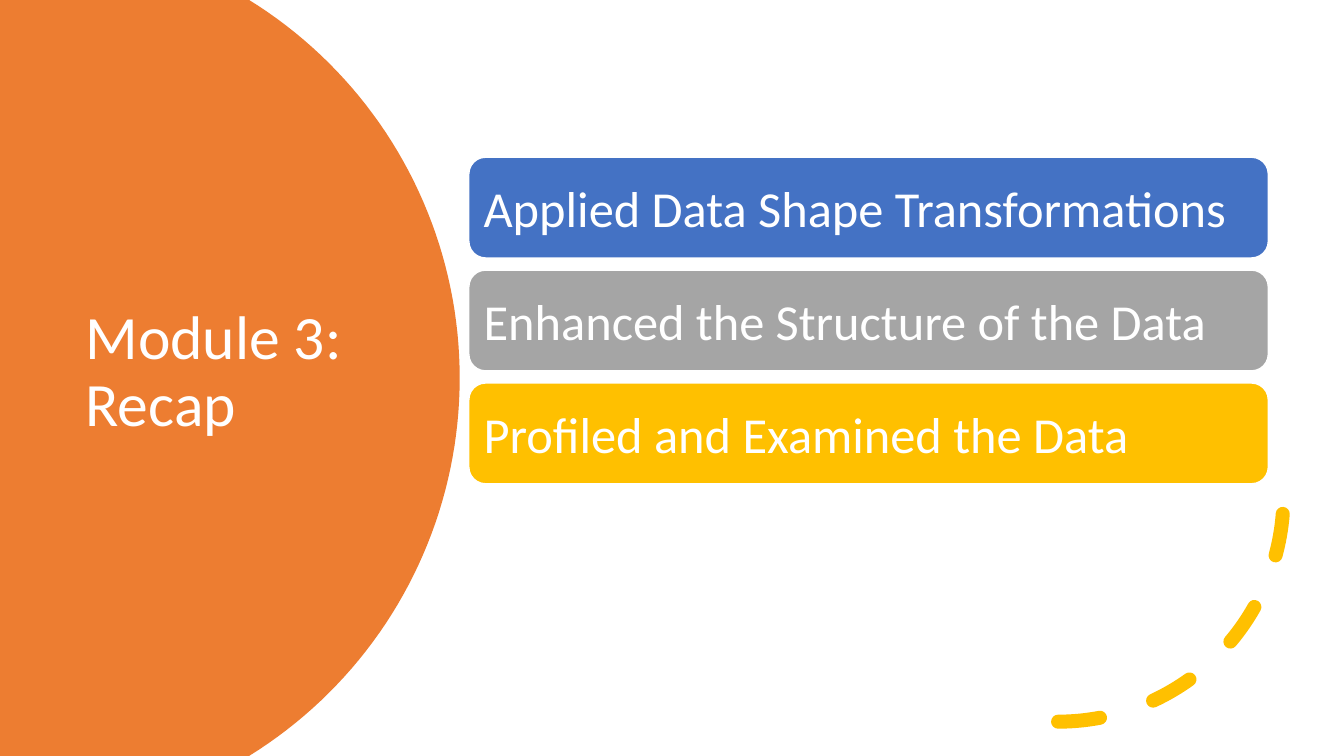
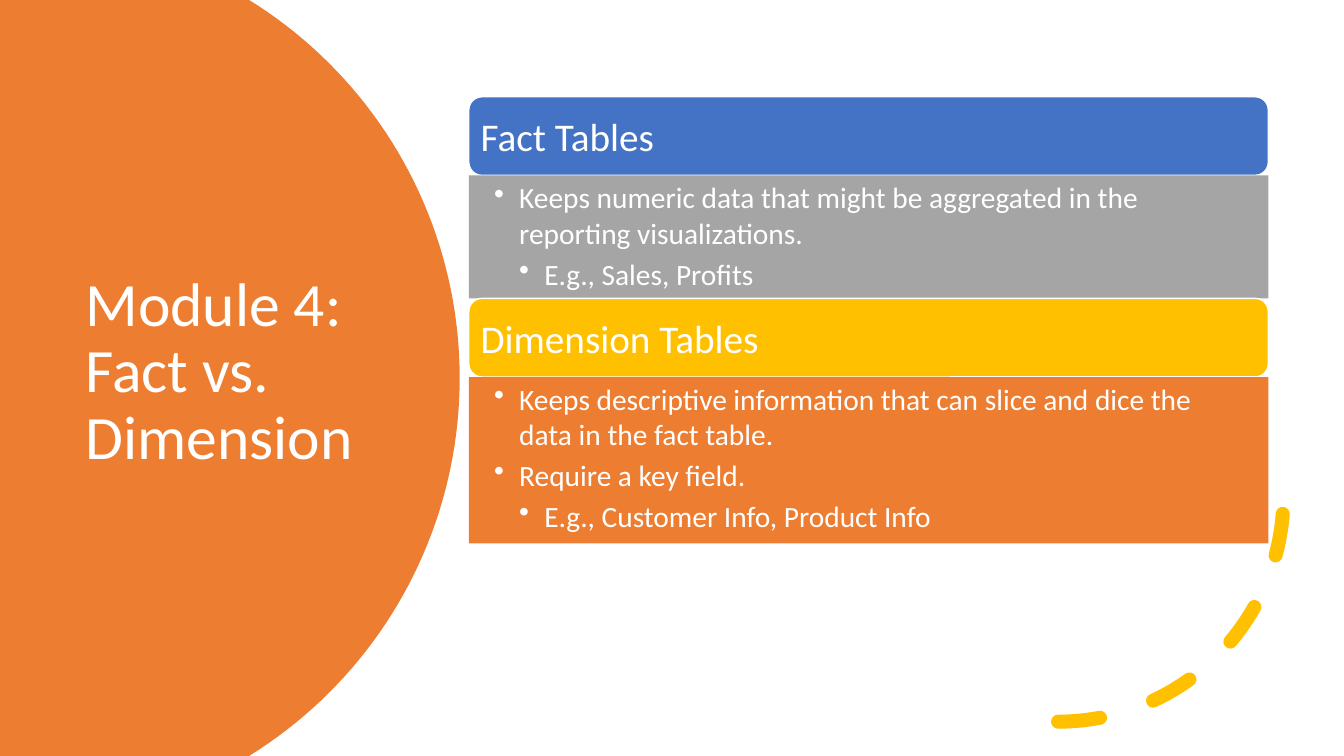
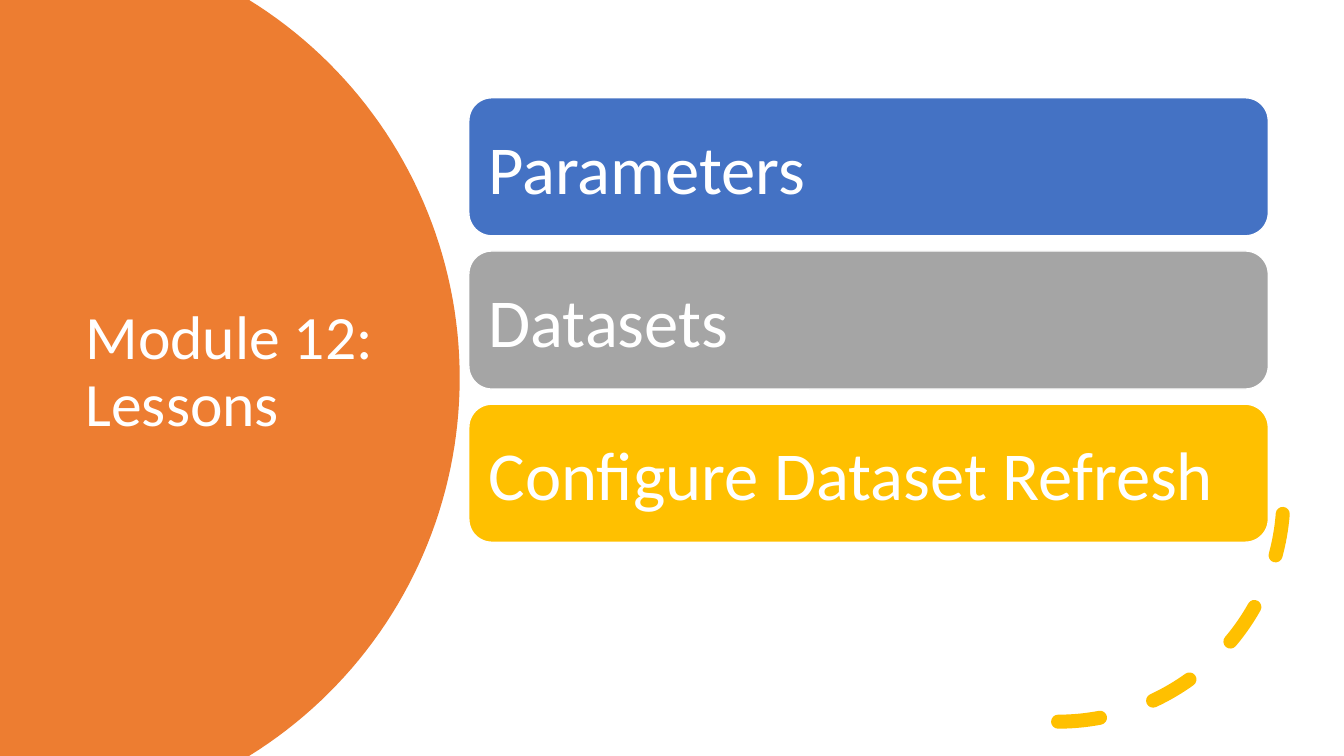
"""Build three module slides with a round title panel and stacked topic bars."""
import itertools
import math

import pptx
import pptx.dml.color
import pptx.enum.dml
import pptx.enum.shapes
import pptx.enum.text
import pptx.util
from lxml import etree

SCALE = 9144
WIDE, HIGH = 1333, 750
FONT = "Calibri"
WHITE, ORANGE, GOLD = "FFFFFF", "ED7D31", "FFC000"
FILLS = ["4472C4", "A5A5A5", GOLD, ORANGE]
DISC = {"mid": 15, "radius": 441, "steps": 80}
TITLE = (75, 126, 350, 488)
ARC = (826, 269, 447, 447)
LEFT, WIDTH = 465, 793
INDENT = 25

SLIDES = [
    {"title": "Module 3: Recap", "top": 156, "bar": 100, "gap": 12, "size": 36, "pad": 10,
     "items": [("Applied Data Shape Transformations", 0, []),
               ("Enhanced the Structure of the Data", 0, []),
               ("Profiled and Examined the Data", 0, [])]},
    {"title": "Module 4: Fact vs. Dimension", "top": 96, "bar": 78, "gap": 0, "size": 28, "pad": 8,
     "items": [("Fact Tables", 122, [
                   (1, "Keeps numeric data that might be aggregated in the reporting visualizations."),
                   (2, "E.g., Sales, Profits")]),
               ("Dimension Tables", 165, [
                   (1, "Keeps descriptive information that can slice and dice the data in the fact table."),
                   (1, "Require a key field."),
                   (2, "E.g., Customer Info, Product Info")])]},
    {"title": "Module 12: Lessons", "top": 97, "bar": 137, "gap": 15, "size": 49, "pad": 13,
     "items": [("Parameters", 0, []), ("Datasets", 0, []), ("Configure Dataset Refresh", 0, [])]},
]

KIND = pptx.enum.shapes.MSO_SHAPE
ANCHOR = pptx.enum.text.MSO_ANCHOR


def px(value):
    return pptx.util.Emu(round(value * SCALE))


def color(text):
    return pptx.dml.color.RGBColor.from_string(text)


def assign(target, values):
    for name, value in values.items():
        setattr(target, name, value)


def paint(shape, fill=None, line=None, weight=1):
    shape.shadow.inherit = False
    for part, tone in ((shape.fill, fill), (shape.line.fill, line)):
        if tone:
            part.solid()
            part.fore_color.rgb = color(tone)
        else:
            part.background()
    if line:
        shape.line.width = pptx.util.Pt(weight)


def place(slide, kind, box, **look):
    shape = slide.shapes.add_shape(kind, *map(px, box))
    paint(shape, **look)
    return shape


def write(shape, lines, size, pads, anchor=ANCHOR.MIDDLE, **style):
    frame = shape.text_frame
    sides = ("margin_left", "margin_top", "margin_right", "margin_bottom")
    assign(frame, {"word_wrap": True, "vertical_anchor": anchor, **dict(zip(sides, map(px, pads)))})
    for spot, (level, text) in enumerate(lines):
        para = frame.add_paragraph() if spot else frame.paragraphs[0]
        assign(para, {"alignment": pptx.enum.text.PP_ALIGN.LEFT, **style})
        run = para.add_run()
        run.text = text
        assign(run.font, {"name": FONT, "size": pptx.util.Pt(size)})
        run.font.color.rgb = color(WHITE)
        if level:
            bullet(para, level)


def bullet(para, level):
    props = para._p.get_or_add_pPr()
    props.set("marL", str(px(level * INDENT)))
    props.set("indent", str(px(-INDENT)))
    etree.SubElement(props, pptx.oxml.ns.qn("a:buChar")).set("char", "•")


def frame_slide(slide, title):
    mid, radius, steps = DISC.values()
    half = math.asin(HIGH / 2 / radius)
    turns = [half * (2 * step / steps - 1) for step in range(steps + 1)]
    edge = [(px(mid + radius * math.cos(turn)), px(HIGH / 2 + radius * math.sin(turn)))
            for turn in turns]
    pen = slide.shapes.build_freeform(0, 0)
    pen.add_line_segments(edge + [(0, px(HIGH))], close=True)
    paint(pen.convert_to_shape(), fill=ORANGE)

    label = slide.shapes.add_textbox(*map(px, TITLE))
    write(label, [(0, title)], 44, (10, 5, 10, 5), line_spacing=0.9)

    arc = place(slide, KIND.ARC, ARC, line=GOLD, weight=10)
    arc.line.dash_style = pptx.enum.dml.MSO_LINE.DASH
    arc.line._get_or_add_ln().set("cap", "rnd")
    arc.element.spPr.xfrm.set("flipV", "1")


def stack(slide, data):
    fills = itertools.cycle(FILLS)
    top, bar = data["top"], data["bar"]
    for head, depth, notes in data["items"]:
        shape = place(slide, KIND.ROUNDED_RECTANGLE, (LEFT, top, WIDTH, bar),
                      fill=next(fills), line=WHITE)
        write(shape, [(0, head)], data["size"], [data["pad"]] * 4)
        top += bar + data["gap"]
        if notes:
            body = place(slide, KIND.RECTANGLE, (LEFT, top, WIDTH, depth), fill=next(fills))
            write(body, notes, 21, (25, 4, 22, 4), ANCHOR.TOP, space_after=pptx.util.Pt(4))
            top += depth


def main():
    deck = pptx.Presentation()
    assign(deck, {"slide_width": px(WIDE), "slide_height": px(HIGH)})
    for data in SLIDES:
        slide = deck.slides.add_slide(deck.slide_layouts[6])
        frame_slide(slide, data["title"])
        stack(slide, data)
    deck.save("out.pptx")


if __name__ == "__main__":
    main()
